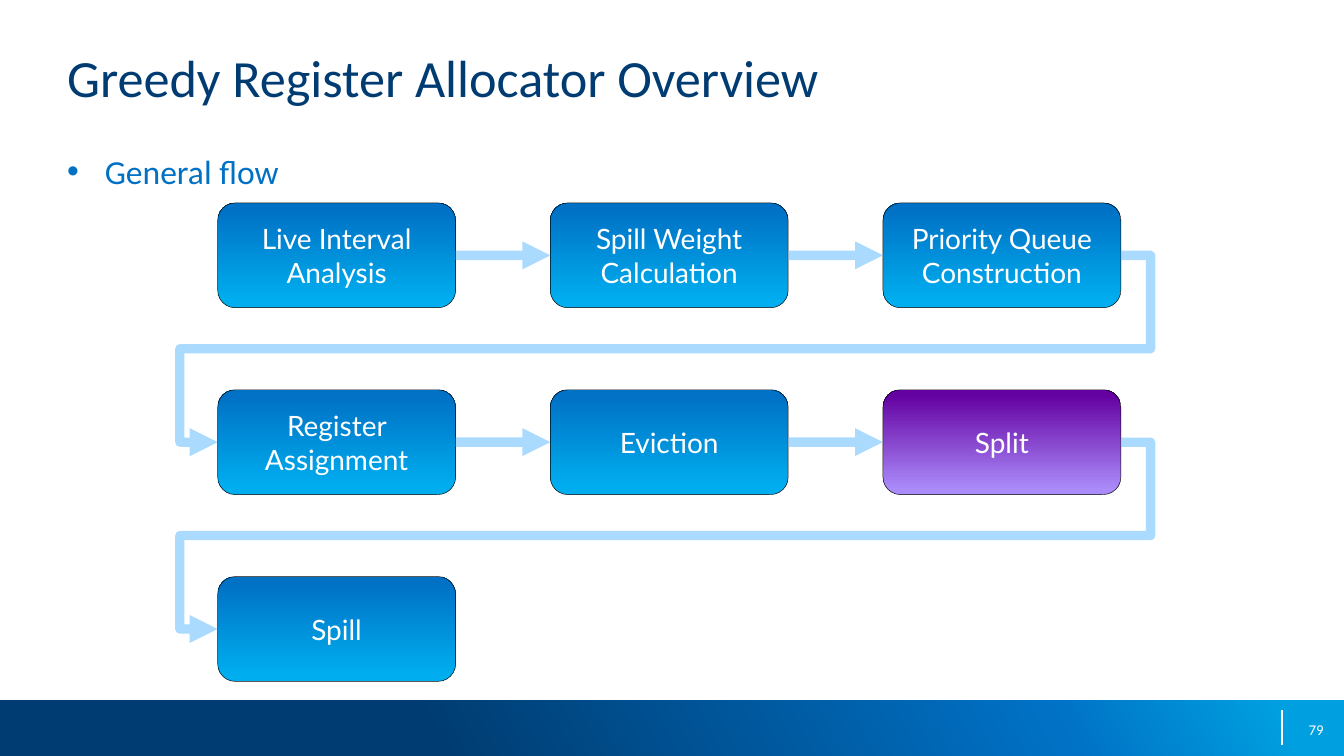
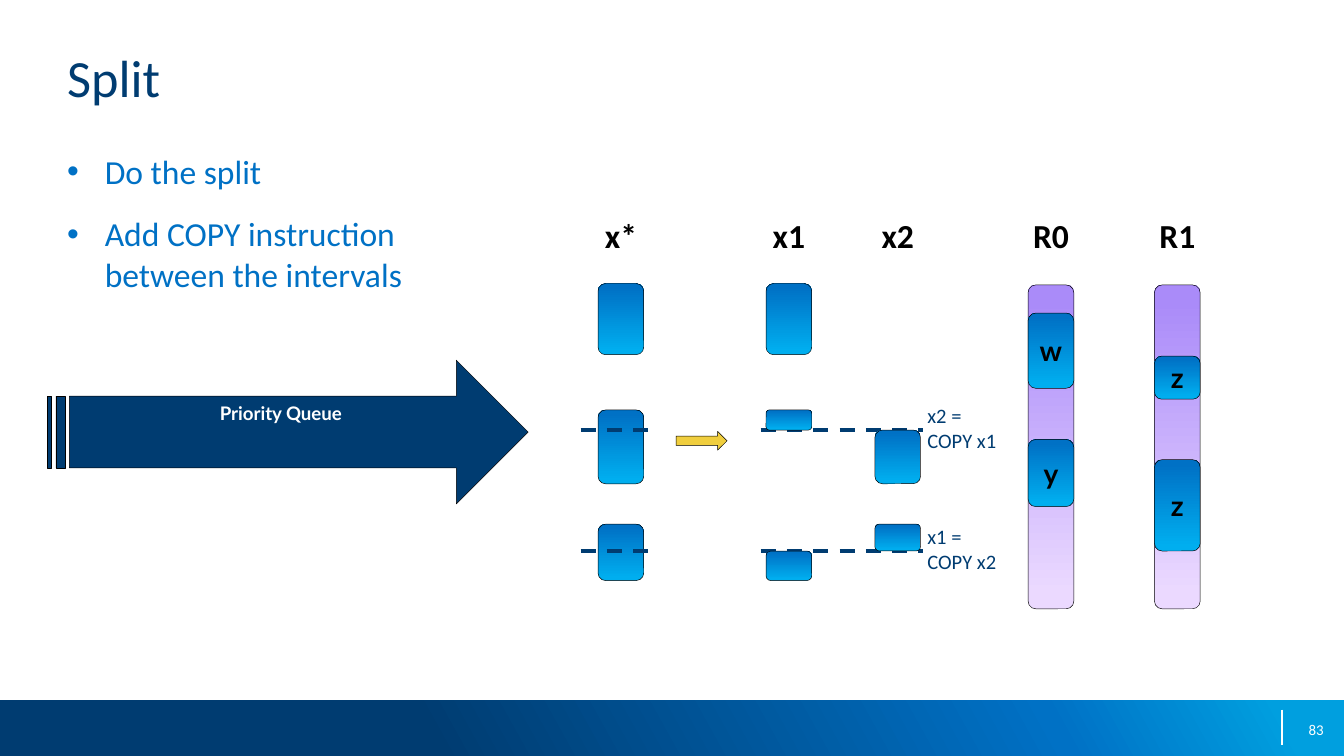
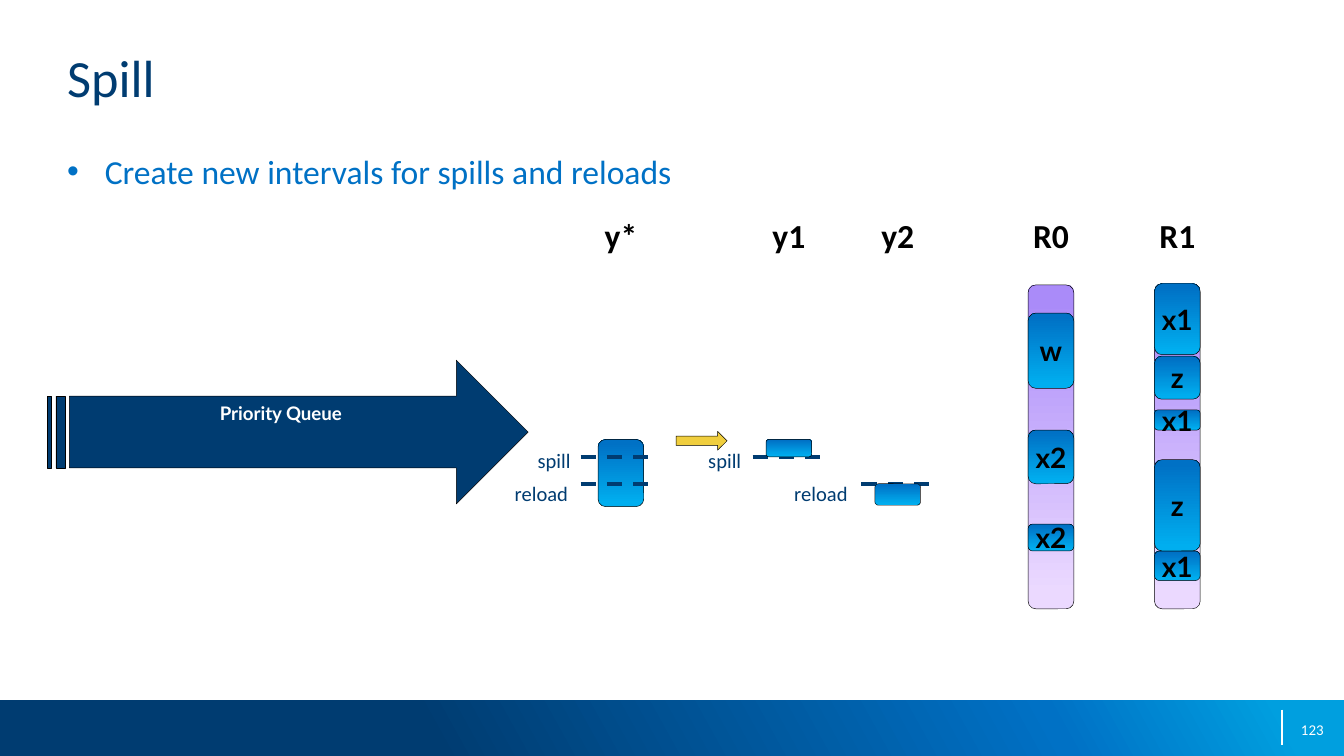
import copy

import lxml.etree
import pptx
import pptx.dml.color
import pptx.enum.dml
import pptx.enum.shapes
import pptx.enum.text
import pptx.oxml.ns
import pptx.util

Inches = pptx.util.Inches
Pt = pptx.util.Pt
qn = pptx.oxml.ns.qn
Shape = pptx.enum.shapes.MSO_SHAPE
Connector = pptx.enum.shapes.MSO_CONNECTOR
Align = pptx.enum.text.PP_ALIGN
Anchor = pptx.enum.text.MSO_ANCHOR
AutoSize = pptx.enum.text.MSO_AUTO_SIZE


class Theme:
    width, height = 10, 10 * 9 / 16
    text_font, shape_font = "Calibri", "Lato"
    navy, blue, black, white = "003C71", "0071C5", "000000", "FFFFFF"
    flow_line, flow_alpha, yellow = "72C3FF", 60, "F0CE3E"
    # Gradients: (position in percent, colour) stops
    blue_fade = [(5, "00AEEF"), (95, "0071C5")]
    violet_fade = [(5, "AA8BF9"), (95, "6401A1")]
    register_fade = [(5, "EBD9FF"), (95, "AA8BF9")]
    footer_fade = [(32, "003C71"), (78, "0071C5"), (95, "009FDF")]
    upward, diagonal = 90, 29
    title, body, step, label, queue, number = 28, 18, 15, 11, 10, 8
    outline, rule, dash, flow = 0.25, 0.75, 2, 5


# ---- Content ----

FLOW = [
    ["Live Interval Analysis", "Spill Weight Calculation", "Priority Queue Construction"],
    ["Register Assignment", "Eviction", "Split"],
    ["Spill"],
]
HIGHLIGHTED_STEP = "Split"

# Live intervals: (start, end) down the time axis, in inches from the top
W = [(2.33, 2.89)]
X = [(2.11, 2.64), (3.05, 3.6), (3.9, 4.32)]
X1 = [(2.11, 2.64), (3.05, 3.2), (4.1, 4.32)]
X2 = [(3.2, 3.6), (3.9, 4.1)]
Y = [(3.27, 3.77)]
Y1 = [(3.27, 3.4)]
Y2 = [(3.6, 3.76)]
Z = [(2.65, 2.97), (3.42, 4.1)]

OVERVIEW = {"title": "Greedy Register Allocator Overview", "number": 79,
            "bullets": [["General flow"]]}

# cuts: (left, right, time); labels: (left, top, width, lines)
SPLIT = {
    "title": "Split", "number": 83,
    "bullets": [["Do the split"], ["Add COPY instruction", "between the intervals"]],
    "registers": {"R0": {"w": W, "y": Y}, "R1": {"z": Z}},
    "whole": ("x*", X),
    "parts": [("x1", X1), ("x2", X2)],
    "cuts": [(left, right, time) for time in (3.2, 4.1)
             for left, right in ((4.32, 4.9), (5.66, 6.87))],
    "labels": [(6.9, 3, 1.13, ["x2 =", "COPY x1"]), (6.9, 3.9, 1.13, ["x1 =", "COPY x2"])],
}
SPILL = {
    "title": "Spill", "number": 123,
    "bullets": [["Create new intervals for spills and reloads"]],
    "registers": {"R0": {"w": W, "x2": X2}, "R1": {"z": Z, "x1": X1}},
    "whole": ("y*", Y),
    "parts": [("y1", Y1), ("y2", Y2)],
    "cuts": [(4.32, 4.9, 3.4), (4.32, 4.9, 3.6), (5.6, 6.18, 3.4), (6.41, 6.99, 3.6)],
    "labels": [(4, 3.33, 0.36, ["spill"]), (3.83, 3.58, 0.5, ["reload"]),
               (5.27, 3.33, 0.36, ["spill"]), (5.91, 3.58, 0.5, ["reload"])],
}

# ---- Grids ----

STEP_LEFT, STEP_TOP, STEP_WIDTH, STEP_HEIGHT = 1.62, 1.51, 1.77, 0.78
LAST_STEP_LEFT = 6.57
COLUMN_PITCH, ROW_PITCH = (LAST_STEP_LEFT - STEP_LEFT) / 2, 1.39
TURN_RIGHT, TURN_LEFT = 0.22, 0.28

WHOLE_CENTER = 4.62
PART_CENTERS = (5.87, 6.68)
REGISTER_CENTERS = (7.82, 8.76)
INTERVAL_WIDTH, HEADING_WIDTH, HEADING_TOP = 0.34, 0.39, 1.6
REGISTER_SPAN = (2.12, 4.53)


# ---- Building blocks ----

def rgb(color):
    return pptx.dml.color.RGBColor.from_string(color)


def inches(*lengths):
    return [Inches(length) for length in lengths]


def set_frame(frame, margins=(0, 0), anchor=Anchor.TOP, wrap=True):
    frame.margin_left = frame.margin_right = Inches(margins[0])
    frame.margin_top = frame.margin_bottom = Inches(margins[1])
    frame.vertical_anchor = anchor
    frame.word_wrap = wrap
    frame.auto_size = AutoSize.NONE


def add_run(paragraph, text, size, color, font=Theme.text_font, bold=False):
    run = paragraph.add_run()
    run.text = text
    run.font.name = font
    run.font.size = Pt(size)
    run.font.bold = bold
    run.font.color.rgb = rgb(color)


def add_text(slide, box, lines, size, color, align=Align.LEFT, bold=False,
             anchor=Anchor.TOP, grow=False):
    frame = slide.shapes.add_textbox(*inches(*box)).text_frame
    set_frame(frame, anchor=anchor)
    if grow:
        frame.auto_size = AutoSize.SHAPE_TO_FIT_TEXT
    for index, line in enumerate(lines):
        paragraph = frame.paragraphs[0] if index == 0 else frame.add_paragraph()
        paragraph.alignment = align
        add_run(paragraph, line, size, color, bold=bold)


def fill_gradient(shape, stops, angle):
    shape.fill.gradient()
    shape.fill.gradient_angle = angle
    stop_list = shape._element.spPr.find(".//" + qn("a:gsLst"))
    while len(stop_list) < len(stops):
        stop_list.append(copy.deepcopy(stop_list[-1]))
    for stop, (percent, color) in zip(shape.fill.gradient_stops, stops):
        stop.position = percent / 100
        stop.color.rgb = rgb(color)


def add_block(slide, preset, box, fill, text="", size=Theme.step, color=Theme.black,
              bold=True, wrap=False, anchor=Anchor.MIDDLE):
    """Add an outlined shape; fill is a colour or a list of gradient stops."""
    block = slide.shapes.add_shape(preset, *inches(*box))
    block.shadow.inherit = False
    if isinstance(fill, str):
        block.fill.solid()
        block.fill.fore_color.rgb = rgb(fill)
    else:
        fill_gradient(block, fill, Theme.upward)
    block.line.color.rgb = rgb(Theme.black)
    block.line.width = Pt(Theme.outline)
    if text:
        set_frame(block.text_frame, (0.07, 0.04), anchor, wrap)
        paragraph = block.text_frame.paragraphs[0]
        paragraph.alignment = Align.CENTER
        add_run(paragraph, text, size, color, Theme.shape_font, bold)


def add_line(slide, start, end, color, width, kind=Connector.STRAIGHT):
    line = slide.shapes.add_connector(kind, *inches(*start, *end))
    line.line.color.rgb = rgb(color)
    line.line.width = Pt(width)
    lxml.etree.SubElement(line._element.spPr, qn("a:effectLst"))
    return line


def add_flow_arrow(slide, start, end, bends=None):
    """Add an arrow; bends are the three shares that shape a five-part elbow."""
    kind = Connector.ELBOW if bends else Connector.STRAIGHT
    arrow = add_line(slide, start, end, Theme.flow_line, Theme.flow, kind)
    outline = arrow.line._get_or_add_ln()
    color = outline.find(".//" + qn("a:srgbClr"))
    lxml.etree.SubElement(color, qn("a:alpha"), val=str(Theme.flow_alpha * 1000))
    lxml.etree.SubElement(outline, qn("a:tailEnd"), type="triangle")
    if bends:
        geometry = arrow._element.spPr.find(qn("a:prstGeom"))
        geometry.set("prst", "bentConnector5")
        for child in list(geometry):
            geometry.remove(child)
        guides = lxml.etree.SubElement(geometry, qn("a:avLst"))
        for index, share in enumerate(bends, 1):
            lxml.etree.SubElement(guides, qn("a:gd"), name=f"adj{index}",
                                  fmla=f"val {round(share * 100000)}")


def add_bullets(slide, bullets):
    frame = slide.shapes.add_textbox(*inches(0.5, 1.12, 9, 3.75)).text_frame
    set_frame(frame)
    for index, lines in enumerate(bullets):
        paragraph = frame.paragraphs[0] if index == 0 else frame.add_paragraph()
        properties = paragraph._p.get_or_add_pPr()
        properties.set("marL", str(Inches(0.28)))
        properties.set("indent", str(-Inches(0.28)))
        lxml.etree.SubElement(properties, qn("a:buFont"), typeface="Arial")
        lxml.etree.SubElement(properties, qn("a:buChar"), char="•")
        if index:
            paragraph.space_before = Pt(12)
        for line_index, line in enumerate(lines):
            if line_index:
                paragraph.add_line_break()
            add_run(paragraph, line, Theme.body, Theme.blue)


def add_footer(slide, number):
    band = slide.shapes.add_shape(Shape.RECTANGLE, *inches(0, 5.21, Theme.width, 0.42))
    band.shadow.inherit = False
    band.line.fill.background()
    fill_gradient(band, Theme.footer_fade, Theme.diagonal)
    add_line(slide, (9.54, 5.28), (9.54, 5.54), Theme.white, Theme.rule)
    add_text(slide, (7.52, 5.28, 2.33, 0.3), [str(number)], Theme.number, Theme.white,
             Align.RIGHT, anchor=Anchor.MIDDLE)


def add_base_slide(deck, content):
    slide = deck.slides.add_slide(deck.slide_layouts.get_by_name("Title Only"))
    add_footer(slide, content["number"])
    title = slide.shapes.title
    title.left, title.top, title.width, title.height = inches(0.5, 0.34, 9, 0.73)
    set_frame(title.text_frame)
    paragraph = title.text_frame.paragraphs[0]
    paragraph.alignment = Align.LEFT
    add_run(paragraph, content["title"], Theme.title, Theme.navy)
    add_bullets(slide, content["bullets"])
    return slide


# ---- Slides ----

def add_overview(deck):
    slide = add_base_slide(deck, OVERVIEW)
    for row, steps in enumerate(FLOW):
        top = STEP_TOP + row * ROW_PITCH
        middle = top + STEP_HEIGHT / 2
        for column, step in enumerate(steps):
            left = STEP_LEFT + column * COLUMN_PITCH
            fade = Theme.violet_fade if step == HIGHLIGHTED_STEP else Theme.blue_fade
            add_block(slide, Shape.ROUNDED_RECTANGLE, (left, top, STEP_WIDTH, STEP_HEIGHT),
                      fade, step, color=Theme.white, bold=False, wrap=True)
            if column:
                add_flow_arrow(slide, (left - COLUMN_PITCH + STEP_WIDTH, middle),
                               (left, middle))
        if row:
            right = LAST_STEP_LEFT + STEP_WIDTH
            span = right - STEP_LEFT
            add_flow_arrow(slide, (right, middle - ROW_PITCH), (STEP_LEFT, middle),
                           (-TURN_RIGHT / span, 0.5, 1 + TURN_LEFT / span))


def add_heading(slide, center, name):
    add_text(slide, (center - HEADING_WIDTH / 2, HEADING_TOP, HEADING_WIDTH, 0.3), [name],
             Theme.body, Theme.black, Align.CENTER, bold=True, grow=True)


def add_intervals(slide, center, spans, name="", fade=Theme.blue_fade):
    for start, end in spans:
        box = (center - INTERVAL_WIDTH / 2, start, INTERVAL_WIDTH, end - start)
        add_block(slide, Shape.ROUNDED_RECTANGLE, box, fade, name)


def add_allocation(deck, content):
    """Show the queue, an interval being divided, and the registers in use."""
    slide = add_base_slide(deck, content)
    for center, (register, assigned) in zip(REGISTER_CENTERS, content["registers"].items()):
        add_heading(slide, center, register)
        add_intervals(slide, center, [REGISTER_SPAN], fade=Theme.register_fade)
        for name, spans in assigned.items():
            add_intervals(slide, center, spans, name)

    add_block(slide, Shape.STRIPED_RIGHT_ARROW, (0.35, 2.68, 3.58, 1.07), Theme.navy,
              "Priority Queue", Theme.queue, Theme.white, anchor=Anchor.TOP)
    add_block(slide, Shape.RIGHT_ARROW, (5.03, 3.21, 0.38, 0.14), Theme.yellow)

    whole_name, whole_spans = content["whole"]
    add_heading(slide, WHOLE_CENTER, whole_name)
    add_intervals(slide, WHOLE_CENTER, whole_spans)
    for left, right, time in content["cuts"]:
        cut = add_line(slide, (left, time), (right, time), Theme.navy, Theme.dash)
        cut.line.dash_style = pptx.enum.dml.MSO_LINE.DASH
    for center, (name, spans) in zip(PART_CENTERS, content["parts"]):
        add_heading(slide, center, name)
        add_intervals(slide, center, spans)
    for left, top, width, lines in content["labels"]:
        add_text(slide, (left, top, width, 0.19 * len(lines)), lines,
                 Theme.label, Theme.navy, grow=True)


def main():
    deck = pptx.Presentation()
    deck.slide_width, deck.slide_height = inches(Theme.width, Theme.height)
    add_overview(deck)
    add_allocation(deck, SPLIT)
    add_allocation(deck, SPILL)
    deck.save("out.pptx")


if __name__ == "__main__":
    main()
